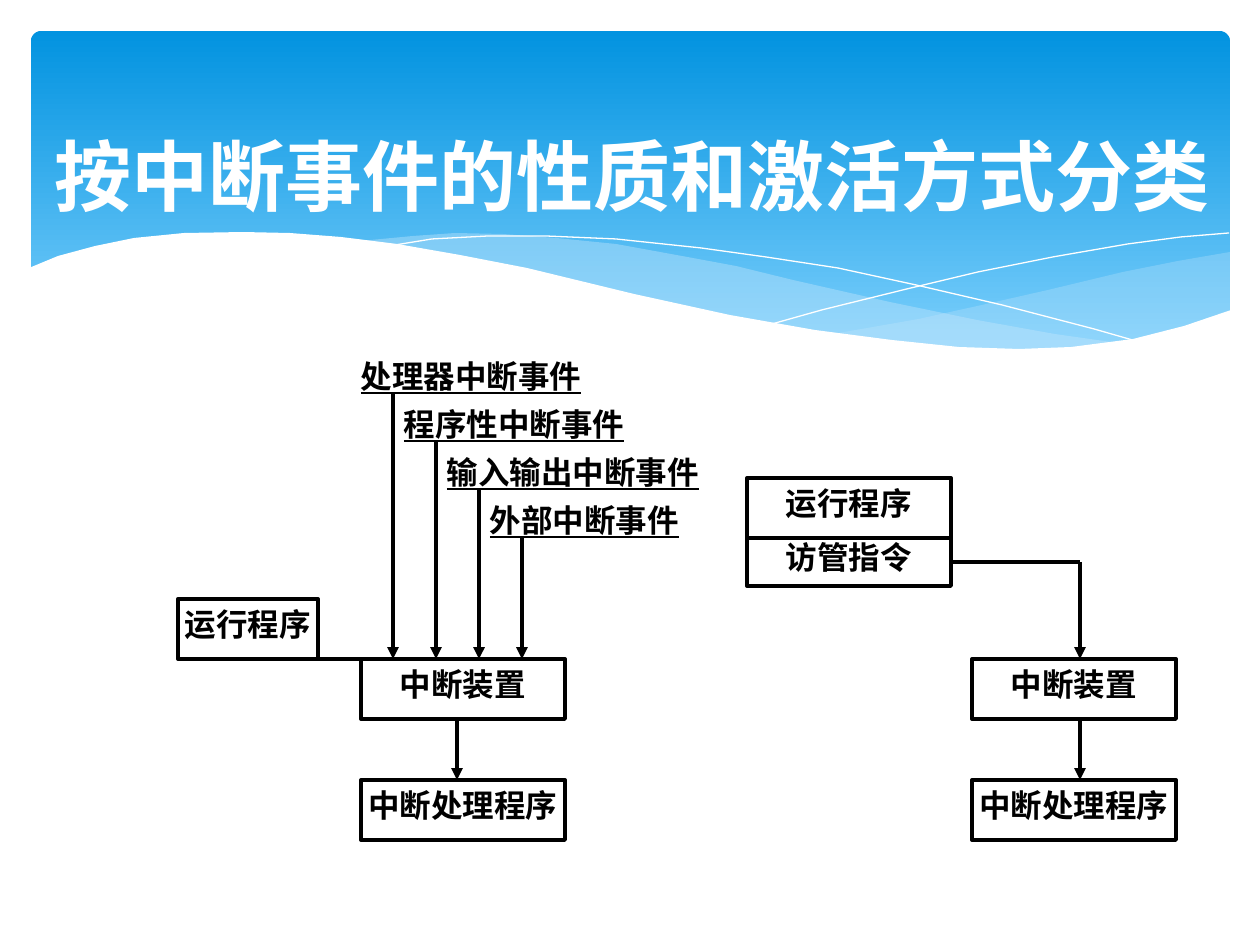
from lxml import etree
from pptx import Presentation
from pptx import util as u
from pptx.dml.color import RGBColor
from pptx.enum import shapes, text
from pptx.oxml.ns import qn

PX = 914400 / 126
HUE = {"top": "0293E0", "low": "83D3FE", "wave": "C6E7FC",
       "ink": "000000", "paper": "FFFFFF"}
BODY, HAN, HEAD = "Times New Roman", "Noto Sans CJK SC", "Cabin"

# Wave outlines, measured from the banner's top left corner
RIGHT = [(1199, 221), (1147, 230), (1092, 241), (1017, 259), (951, 274),
         (888, 288), (802, 303), (840, 308), (891, 314), (938, 318),
         (995, 319), (1045, 317), (1099, 309), (1147, 299), (1199, 280)]
MID = [(1094, 313), (1024, 303), (946, 289), (859, 271), (762, 249),
       (705, 235), (651, 225), (585, 213), (525, 207), (472, 203),
       (424, 202), (382, 205), (329, 210), (400, 220), (478, 235),
       (535, 249), (637, 271), (726, 290), (807, 304), (879, 314),
       (943, 319), (1000, 321), (1049, 318)]
FALL = [(358, 215), (401, 208), (457, 205), (515, 205), (585, 208),
        (670, 217), (735, 226), (807, 237), (885, 254), (971, 274),
        (1063, 298), (1112, 312)]
RISE = [(741, 293), (791, 279), (876, 258), (947, 241), (1022, 226),
        (1097, 213), (1150, 206), (1198, 202)]
FRONT = [(1200, 279), (1153, 295), (1102, 308), (1040, 316), (988, 318),
         (928, 316), (861, 309), (784, 299), (699, 284), (603, 263),
         (496, 237), (429, 224), (366, 213), (310, 206), (259, 202),
         (212, 201), (153, 202), (103, 207), (64, 215), (27, 225),
         (-2, 237), (-2, 384), (1200, 384)]


def px(*nums):
    return [u.Emu(round(n * PX)) for n in nums]


def rgb(key):
    return RGBColor.from_string(HUE[key])


def write(shape, words, size, font, hue, align, inset=(0, 0), line=False):
    frame = shape.text_frame
    frame.word_wrap = True
    side, top = px(*inset)
    frame.margin_left = frame.margin_right = side
    frame.margin_top = frame.margin_bottom = top
    para = frame.paragraphs[0]
    para.text, para.alignment = words, align
    face = para.font
    face.size, face.name, face.bold = u.Pt(size), font, True
    face.color.rgb = rgb(hue)
    if line:
        face.underline = True
    return frame


def wave(slide, box, points, hue, alpha=None):
    """Fill a closed outline, or draw a hairline when hue is None."""
    spots = [px(box[0] + x, box[1] + y) for x, y in points]
    pen = slide.shapes.build_freeform(*spots[0], scale=1.0)
    pen.add_line_segments(spots[1:], close=hue is not None)
    shape = pen.convert_to_shape()
    shape.shadow.inherit = False
    if hue is None:
        shape.fill.background()
        shape.line.color.rgb = rgb("paper")
        shape.line.width = 0
        return
    shape.fill.solid()
    shape.fill.fore_color.rgb = rgb(hue)
    shape.line.fill.background()
    if alpha:
        tone = shape.fill._xPr.find(".//" + qn("a:srgbClr"))
        etree.SubElement(tone, qn("a:alpha"), val=str(alpha * 1000))


def banner(slide, box):
    # Gradient panel
    panel = slide.shapes.add_shape(
        shapes.MSO_SHAPE.ROUNDED_RECTANGLE, *px(*box))
    panel.adjustments[0] = 0.03
    panel.shadow.inherit = False
    panel.line.fill.background()
    panel.fill.gradient()
    panel.fill.gradient_angle = 270
    for stop, key in zip(panel.fill.gradient_stops, ("top", "low")):
        stop.color.rgb = rgb(key)
    # Waves
    wave(slide, box, RIGHT, "wave", 29)
    wave(slide, box, MID, "wave", 40)
    wave(slide, box, FALL, None)
    wave(slide, box, RISE, None)
    wave(slide, box, FRONT, "paper")
    # Title
    head = slide.shapes.add_textbox(*px(box[0] + 3, box[1] + 100, 1197, 88))
    frame = write(head, "按中断事件的性质和激活方式分类", 44, HEAD, "paper",
                  text.PP_ALIGN.CENTER, (12, 6))
    frame.vertical_anchor = text.MSO_ANCHOR.MIDDLE


def block(slide, words, x, y, w=204, h=60, inset=6):
    shape = slide.shapes.add_shape(
        shapes.MSO_SHAPE.RECTANGLE, *px(x, y, w, h))
    shape.shadow.inherit = False
    shape.fill.background()
    shape.line.color.rgb = rgb("ink")
    shape.line.width = u.Pt(2.25)
    frame = write(shape, words, 18, BODY, "ink", text.PP_ALIGN.CENTER,
                  (0, inset))
    frame.vertical_anchor = text.MSO_ANCHOR.TOP
    return shape


def link(slide, x1, y1, x2, y2, arrow=True):
    line = slide.shapes.add_connector(
        shapes.MSO_CONNECTOR.STRAIGHT, *px(x1, y1, x2, y2))
    line.line.color.rgb = rgb("ink")
    line.line.width = u.Pt(2.25)
    if arrow:
        etree.SubElement(line.line._get_or_add_ln(), qn("a:tailEnd"),
                         type="triangle")
    etree.SubElement(line._element.spPr, qn("a:effectLst"))
    return line


def device(slide, x, y, stem):
    """Interrupt device above its handler, joined by an arrow at stem."""
    block(slide, "中断装置", x, y)
    block(slide, "中断处理程序", x, y + 121)
    link(slide, x + stem, y + 60, x + stem, y + 121)


def forced(slide, box):
    x, y = box[:2]
    base = y + 302
    block(slide, "运行程序", x, base - 60, 140)
    device(slide, x + 183, base, 96)
    link(slide, x + 204, base, x + 140, base, False)
    # Event labels step down to the right, each with its arrow
    events = ["处理器中断事件", "程序性中断事件", "输入输出中断事件", "外部中断事件"]
    for i, words in enumerate(events):
        left, top = x + 183 + 43 * i, y + 48 * i
        label = slide.shapes.add_textbox(*px(left, top, 278, 48))
        write(label, words, 18, HAN, "ink", text.PP_ALIGN.JUSTIFY, line=True)
        link(slide, left + 32, top + 36, left + 32, base)


def chosen(slide, box):
    x, y = box[:2]
    block(slide, "运行程序", x, y)
    call = block(slide, "访管指令", x, y + 60, h=48, inset=0)
    device(slide, x + 225, y + 181, 108)
    # Elbow from the call to the device
    side, turn = y + 84, x + 333
    link(slide, x + 204, side, turn, side, False).begin_connect(call, 3)
    link(slide, turn, side, turn, y + 181)


def main():
    deck = Presentation()
    deck.slide_width, deck.slide_height = px(1260, 945)
    slide = deck.slides.add_slide(deck.slide_layouts[6])
    banner(slide, (31, 31, 1199, 340))
    forced(slide, (178, 357, 522, 483))
    chosen(slide, (747, 478, 429, 362))
    deck.save("out.pptx")


if __name__ == "__main__":
    main()
